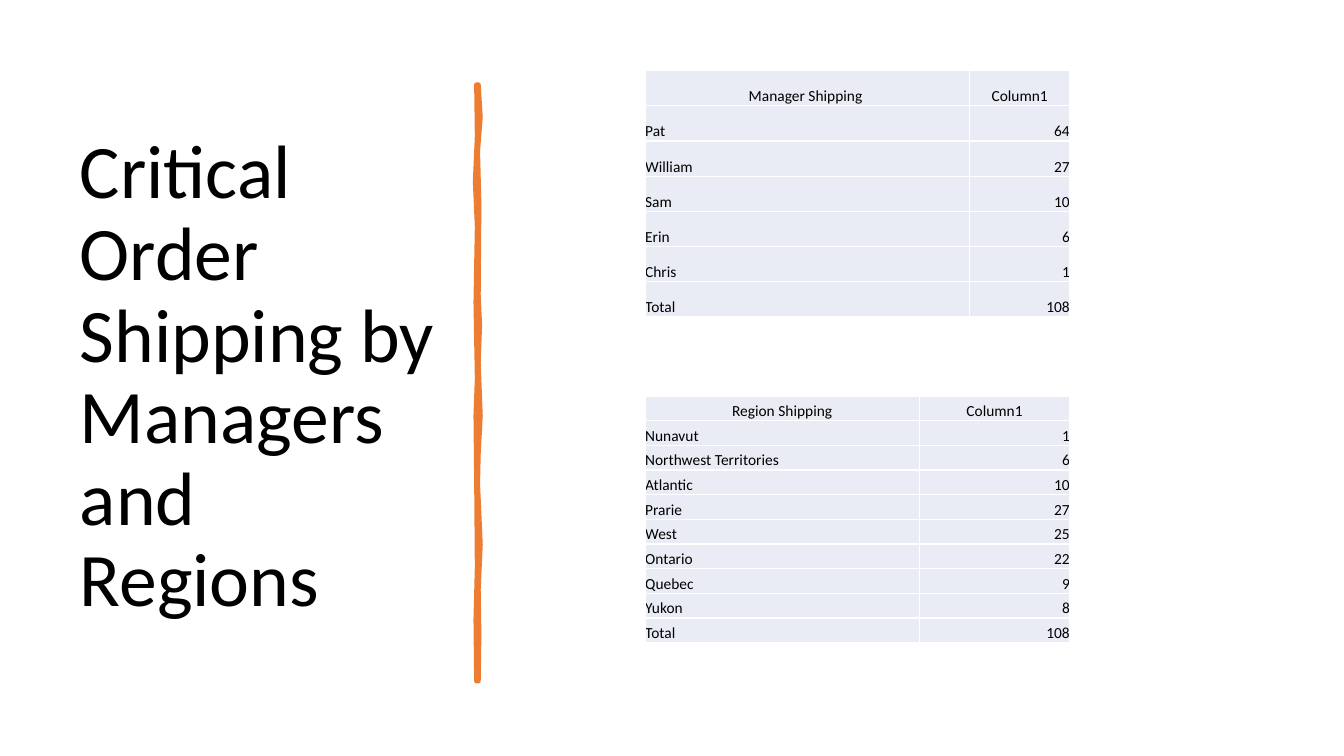
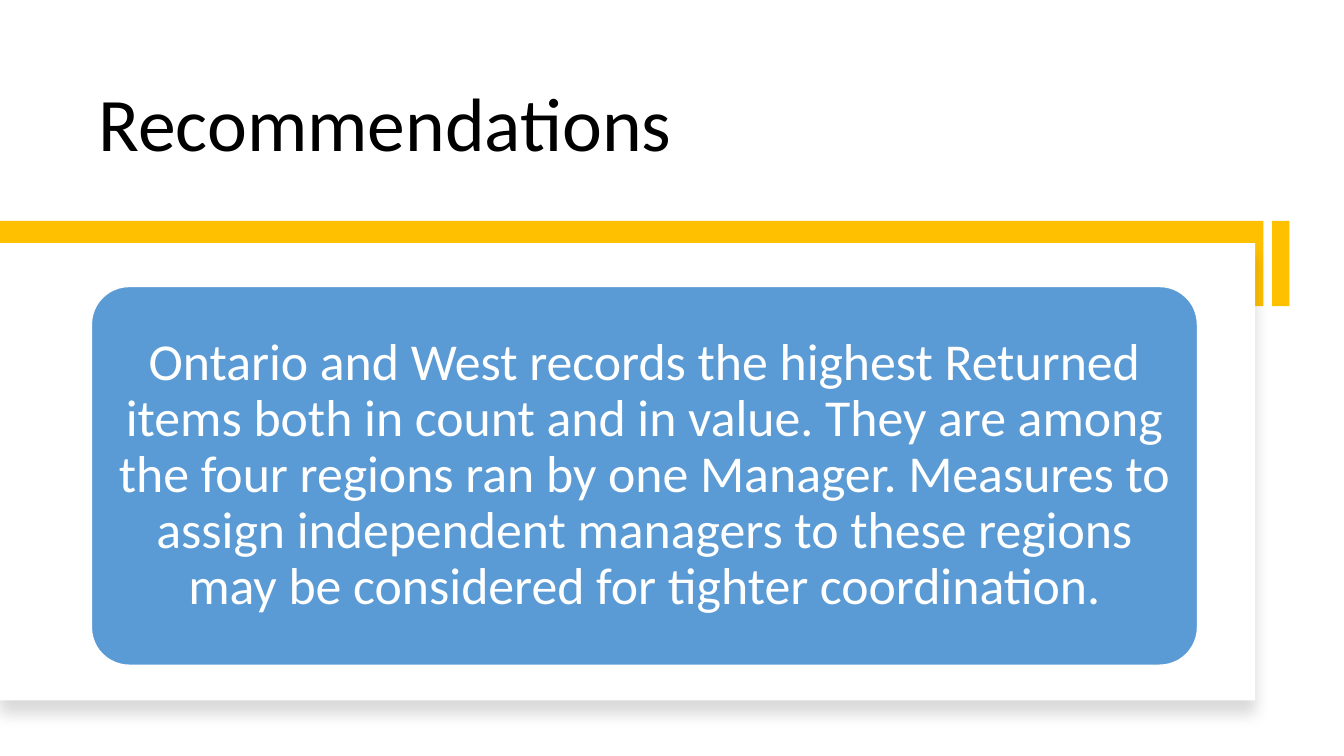
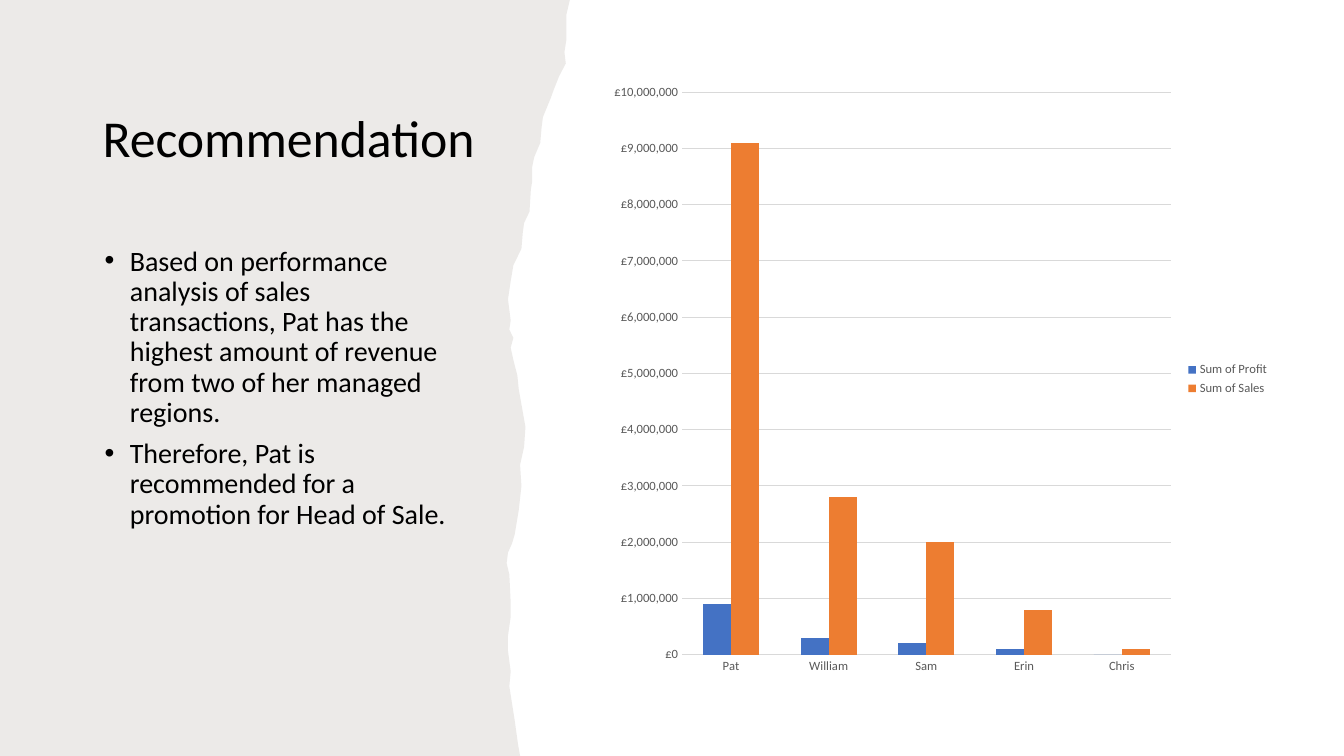
from lxml import etree
from pptx import Presentation, util as u
from pptx.chart.data import CategoryChartData
from pptx.dml.color import RGBColor
from pptx.enum import chart as ch, shapes, text
from pptx.oxml.ns import qn

COLORS = {
    "ink": "000000", "paper": "FFFFFF", "cell": "E9EBF5",
    "orange": "ED7D31", "gold": "FFC000", "sky": "5B9BD5", "blue": "4472C4",
    "stone": "82766A", "label": "595959", "grid": "D9D9D9",
}
FONT = "Calibri"
LEFT, CENTER, RIGHT = text.PP_ALIGN.LEFT, text.PP_ALIGN.CENTER, text.PP_ALIGN.RIGHT


def rgb(name):
    return RGBColor.from_string(COLORS[name])


def child(parent, tag, **attributes):
    return etree.SubElement(parent, qn(tag), {k: str(v) for k, v in attributes.items()})


class Deck:
    """Shared style and the current page; lengths are percent of the slide's size."""

    def __init__(self):
        self.deck = Presentation()
        self.deck.slide_width, self.deck.slide_height = u.Inches(13.33), u.Inches(7.5)
        self.page = None

    def new_page(self):
        self.page = self.deck.slides.add_slide(self.deck.slide_layouts[6])

    def x(self, share):
        return u.Emu(round(self.deck.slide_width * share / 100))

    def y(self, share):
        return u.Emu(round(self.deck.slide_height * share / 100))

    def area(self, left, top, width, height):
        return self.x(left), self.y(top), self.x(width), self.y(height)

    def style_font(self, font, size, color="ink"):
        font.name, font.size = FONT, u.Pt(size)
        font.color.rgb = rgb(color)

    def fill_text(self, frame, lines, size, color="ink", align=LEFT, spacing=None,
                  anchor=text.MSO_ANCHOR.TOP):
        frame.word_wrap = True
        frame.vertical_anchor = anchor
        frame.text = "\n".join(lines)
        for para in frame.paragraphs:
            para.alignment = align
            para.line_spacing = spacing
            for span in para.runs:
                self.style_font(span.font, size, color)

    def text_box(self, area, lines, size, **style):
        box = self.page.shapes.add_textbox(*self.area(*area))
        self.fill_text(box.text_frame, lines, size, spacing=0.9, **style)
        return box

    def title(self, area, words, size=54, anchor=text.MSO_ANCHOR.MIDDLE):
        self.text_box(area, [words], size, anchor=anchor)

    def bullets(self, area, lines, size):
        box = self.text_box(area, lines, size)
        for para in box.text_frame.paragraphs:
            para.space_after = u.Pt(8)
            props = para._p.get_or_add_pPr()
            props.set("marL", str(u.Inches(0.25)))
            props.set("indent", str(-u.Inches(0.25)))
            child(props, "a:buFont", typeface="Arial")
            child(props, "a:buChar", char="•")

    def paint(self, shape, fill, line=None, width=1):
        shape.shadow.inherit = False
        shape.fill.solid()
        shape.fill.fore_color.rgb = rgb(fill)
        if line:
            shape.line.color.rgb = rgb(line)
            shape.line.width = u.Pt(width)
        else:
            shape.line.fill.background()
        return shape

    def block(self, area, fill, line=None, kind=shapes.MSO_SHAPE.RECTANGLE):
        return self.paint(self.page.shapes.add_shape(kind, *self.area(*area)), fill, line)

    def outline(self, points, fill, line=None, width=1):
        first, *rest = [(self.x(a), self.y(b)) for a, b in points]
        builder = self.page.shapes.build_freeform(*first)
        builder.add_line_segments(rest, close=True)
        return self.paint(builder.convert_to_shape(), fill, line, width)

    def drop_shadow(self, shape, blur, distance, alpha):
        effects = shape._element.spPr.find(qn("a:effectLst"))
        shadow = child(effects, "a:outerShdw", blurRad=u.Pt(blur), dist=u.Pt(distance),
                       dir=5400000, algn="t", rotWithShape=0)
        color = child(shadow, "a:srgbClr", val=COLORS["ink"])
        child(color, "a:alpha", val=alpha * 1000)

    def fade(self, shape, alpha):
        color = shape._element.spPr.find(qn("a:solidFill")).find(qn("a:srgbClr"))
        child(color, "a:alpha", val=alpha * 1000)

    def table(self, left, top, widths, height, rows):
        frame = self.page.shapes.add_table(
            len(rows), len(widths), *self.area(left, top, sum(widths), height))
        table = frame.table
        table.first_row = table.horz_banding = False
        for column, width in zip(table.columns, widths):
            column.width = self.x(width)
        for r, values in enumerate(rows):
            table.rows[r].height = self.y(height / len(rows))
            for c, value in enumerate(values):
                align = CENTER if r == 0 else (LEFT, RIGHT)[c]
                self.cell(table.cell(r, c), str(value), align)

    def cell(self, cell, value, align):
        cell.margin_left = cell.margin_right = cell.margin_top = cell.margin_bottom = 0
        self.fill_text(cell.text_frame, [value], 11, align=align)
        cell.vertical_anchor = text.MSO_ANCHOR.BOTTOM
        props = cell._tc.get_or_add_tcPr()
        for side in ("a:lnL", "a:lnR", "a:lnT", "a:lnB"):
            border = child(props, side, w=u.Pt(1))
            child(child(border, "a:solidFill"), "a:srgbClr", val=COLORS["paper"])
        cell.fill.solid()
        cell.fill.fore_color.rgb = rgb("cell")

    def column_chart(self, area, categories, series, number_format):
        data = CategoryChartData(number_format=number_format)
        data.categories = categories
        for name, values, _ in series:
            data.add_series(name, values)
        chart = self.page.shapes.add_chart(
            ch.XL_CHART_TYPE.COLUMN_CLUSTERED, *self.area(*area), data).chart
        self.style_font(chart.font, 10)
        chart.has_title = False
        chart.has_legend = True
        chart.legend.position = ch.XL_LEGEND_POSITION.RIGHT
        chart.legend.include_in_layout = False
        self.style_font(chart.legend.font, 9, "label")
        for axis in (chart.category_axis, chart.value_axis):
            axis.major_tick_mark = axis.minor_tick_mark = ch.XL_TICK_MARK.NONE
            axis.format.line.fill.background()
            self.style_font(axis.tick_labels.font, 9, "label")
        scale = chart.value_axis
        scale.tick_labels.number_format = number_format
        scale.tick_labels.number_format_is_linked = False
        scale.minimum_scale, scale.maximum_scale, scale.major_unit = 0, 10_000_000, 1_000_000
        scale.major_gridlines.format.line.color.rgb = rgb("grid")
        scale.major_gridlines.format.line.width = u.Pt(0.75)
        plot = chart.plots[0]
        plot.gap_width, plot.overlap, plot.vary_by_categories = 150, 0, False
        for bars, (_, _, color) in zip(plot.series, series):
            bars.format.fill.solid()
            bars.format.fill.fore_color.rgb = rgb(color)


BRUSH_STROKE = [
    (35.6, 11.2), (35.75, 15.5), (35.55, 20), (35.65, 27), (35.6, 39), (35.7, 43),
    (35.6, 48), (35.75, 55), (35.6, 60), (35.55, 64), (35.75, 72), (35.6, 78),
    (35.65, 84), (35.6, 90.1), (35.45, 90.1), (35.4, 82), (35.5, 75), (35.45, 63.5),
    (35.4, 55), (35.5, 50), (35.4, 40), (35.5, 30), (35.35, 24), (35.5, 18), (35.45, 11.2),
]
TORN_EDGE = [
    (42.4, 0), (42.15, 1.9), (42.15, 5.2), (42, 6.9), (42.1, 8.4), (41.6, 10.1),
    (41.2, 11.9), (41, 12.9), (40.4, 15.5), (40.3, 16.9), (40.2, 18.9), (39.75, 20.8),
    (39.6, 22.1), (39.6, 24), (39.5, 25.1), (39.4, 28), (39, 29.5), (38.9, 30.8),
    (38.8, 32.9), (38.5, 34), (38.2, 35.1), (38, 37.2), (37.8, 39.6), (38, 42.4),
    (37.9, 43.6), (38.2, 44.7), (38, 46), (38.2, 47.6), (38.5, 49.7), (38.6, 51.5),
    (38.8, 53.5), (39.1, 56.5), (39, 59.1), (38.7, 61.5), (38.8, 64.3), (38.6, 67.5),
    (38.3, 70.7), (38.1, 71.9), (37.8, 73.1), (37.7, 74.5), (37.9, 76), (38, 79.7),
    (38, 81.6), (37.8, 84.1), (37.8, 86.1), (38, 88.8), (37.9, 90.8), (38.3, 95.3),
    (38.55, 98.5), (38.7, 100),
]


def shipping_page(deck):
    deck.new_page()
    deck.title((5.2, 9.3, 28.05, 81.5), "Critical Order Shipping by Managers and Regions")
    deck.outline(BRUSH_STROKE, "orange", "orange", 3.25)
    # Both tables share their left edge, total width and height
    deck.table(48, 9.35, (24.15, 7.45), 32.6, [
        ("Manager Shipping ", "Column1"), ("Pat", 64), ("William", 27), ("Sam", 10),
        ("Erin", 6), ("Chris", 1), ("Total", 108)])
    deck.table(48, 52.4, (20.4, 11.2), 32.6, [
        ("Region Shipping", "Column1"), ("Nunavut", 1), ("Northwest Territories", 6),
        ("Atlantic", 10), ("Prarie", 27), ("West", 25), ("Ontario", 22), ("Quebec", 9),
        ("Yukon", 8), ("Total", 108)])


def regions_page(deck):
    deck.new_page()
    deck.title((6.6, 5.6, 75.75, 17.3), "Recommendations", anchor=text.MSO_ANCHOR.BOTTOM)
    # Gold band behind the white panel
    deck.block((94.65, 29.2, 1.3, 11.3), "gold")
    deck.block((0, 29.2, 94, 11.3), "gold")
    panel = deck.block((0, 32.15, 93.4, 60.5), "paper")
    deck.drop_shadow(panel, blur=11, distance=10, alpha=15)
    # Message card
    card = deck.block((6.8, 37.9, 82.3, 50.1), "sky", "paper",
                      shapes.MSO_SHAPE.ROUNDED_RECTANGLE)
    card.adjustments[0] = 0.1
    frame = card.text_frame
    frame.margin_left = frame.margin_right = u.Inches(0.15)
    frame.margin_top = frame.margin_bottom = u.Inches(0.15)
    deck.fill_text(frame, [
        "Ontario and West records the highest Returned items both in count and in value. "
        "They are among the four regions ran by one Manager. Measures to assign independent "
        "managers to these regions may be considered for tighter coordination."],
        37, "paper", CENTER, 0.9, text.MSO_ANCHOR.MIDDLE)


def promotion_page(deck):
    deck.new_page()
    paper = deck.outline([(0, 0), *TORN_EDGE, (0, 100)], "stone")
    deck.fade(paper, 15)
    deck.title((6.9, 8.9, 30.7, 19.5), "Recommendation", 37)
    deck.bullets((7.05, 32, 28.1, 56.9), [
        "Based on performance analysis of sales transactions, Pat has the highest amount "
        "of revenue from two of her managed regions.",
        "Therefore, Pat is recommended for a promotion for Head of Sale."], 20)
    deck.column_chart(
        (44.7, 9.6, 50.5, 81.1), ["Pat", "William", "Sam", "Erin", "Chris"],
        [("Sum of Profit", (900_000, 300_000, 200_000, 100_000, 0), "blue"),
         ("Sum of Sales", (9_100_000, 2_800_000, 2_000_000, 800_000, 100_000), "orange")],
        '"£"#,##0')


def main():
    deck = Deck()
    shipping_page(deck)
    regions_page(deck)
    promotion_page(deck)
    deck.deck.save("out.pptx")


if __name__ == "__main__":
    main()
